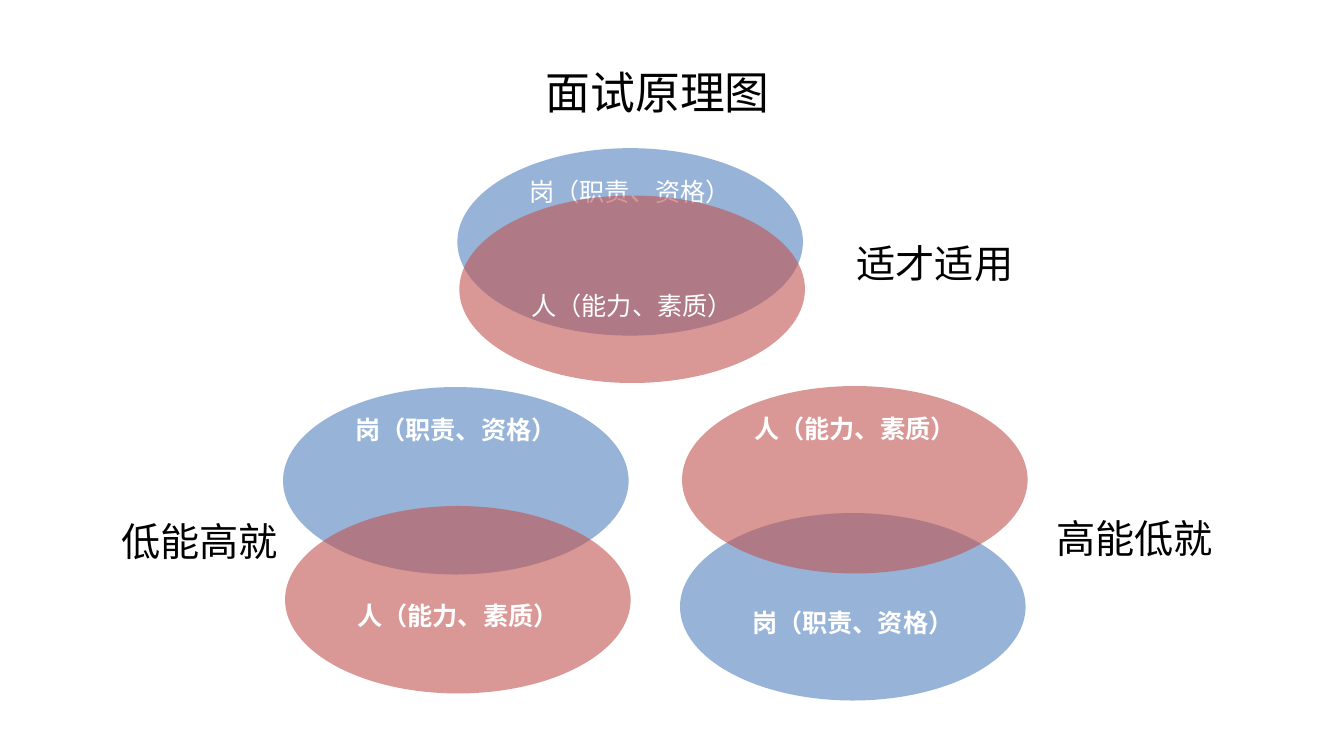
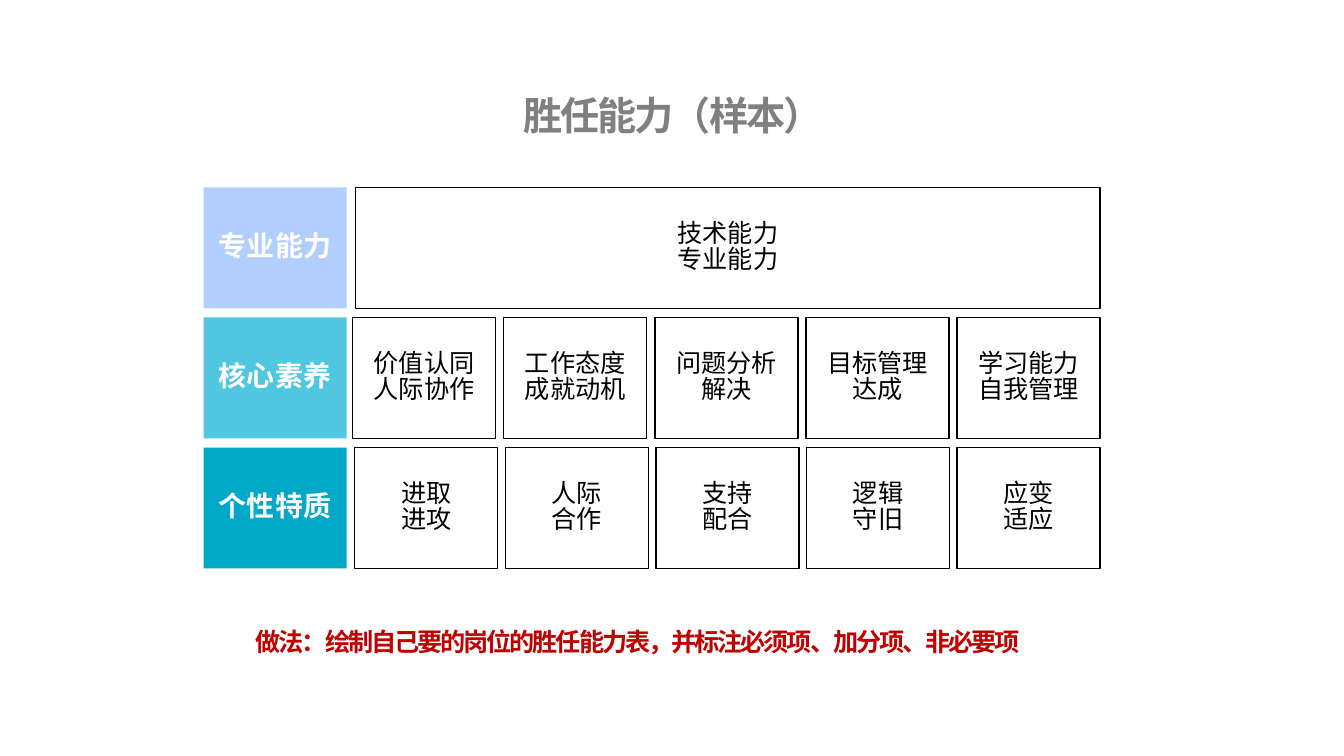
import pptx
import pptx.util
import pptx.dml.color
import pptx.enum.shapes
import pptx.enum.text
import pptx.oxml.ns
from lxml import etree

Inches = pptx.util.Inches
Pt = pptx.util.Pt
RGBColor = pptx.dml.color.RGBColor
Shape = pptx.enum.shapes.MSO_SHAPE
Anchor = pptx.enum.text.MSO_ANCHOR
Align = pptx.enum.text.PP_ALIGN
qn = pptx.oxml.ns.qn

BLACK = RGBColor(0x00, 0x00, 0x00)
WHITE = RGBColor(0xFF, 0xFF, 0xFF)
GRAY = RGBColor(0x80, 0x80, 0x80)
DARK_RED = RGBColor(0xC0, 0x00, 0x00)
JOB_BLUE = RGBColor(0x4F, 0x81, 0xBD)
PERSON_RED = RGBColor(0xC0, 0x50, 0x4D)
PALE_BLUE = RGBColor(0xB1, 0xCE, 0xFF)
LIGHT_TEAL = RGBColor(0x50, 0xC6, 0xE0)
TEAL = RGBColor(0x00, 0xA8, 0xC8)

CJK_FONT = "Noto Sans CJK SC"
LATIN_FONT = "Open Sans"
LINE_SPACING = 0.85

OVAL_W, OVAL_H = 3.43, 1.86
OVAL_SHIFT = 0.02
OVAL_OPACITY = 59
LOWER_TEXT_INSET = 0.35

CELL_W, CELL_H = 1.42, 1.2
ROW_PITCH = 1.29


def write(shape, text, size, color, bold=False, font=CJK_FONT, spacing=0,
          align=Align.CENTER, anchor=Anchor.MIDDLE, wrap=True):
    """Put text in a shape; each line becomes a paragraph."""
    frame = shape.text_frame
    frame.text = text
    frame.word_wrap = wrap
    frame.vertical_anchor = anchor
    for paragraph in frame.paragraphs:
        paragraph.alignment = align
        paragraph.line_spacing = LINE_SPACING
        for run in paragraph.runs:
            run.font.size = Pt(size)
            run.font.bold = bold
            run.font.color.rgb = color
            run.font.name = font
            properties = run.font._element
            etree.SubElement(properties, qn("a:ea")).set("typeface", CJK_FONT)
            if spacing:
                properties.set("spc", str(int(spacing * 100)))


def add_text(slide, box, text, size, color, **style):
    textbox = slide.shapes.add_textbox(*map(Inches, box))
    write(textbox, text, size, color, **style)


def add_block(shapes, kind, box, fill=None, outline=None):
    block = shapes.add_shape(kind, *map(Inches, box))
    block.shadow.inherit = False
    if fill is None:
        block.fill.background()
    else:
        block.fill.solid()
        block.fill.fore_color.rgb = fill
    if outline is None:
        block.line.fill.background()
    else:
        block.line.color.rgb = outline
        block.line.width = Pt(1)
    return block


def add_oval(shapes, left, top, color, text, bold, is_upper):
    oval = add_block(shapes, Shape.OVAL, (left, top, OVAL_W, OVAL_H), color)
    color_element = oval._element.spPr.find(qn("a:solidFill"))[0]
    alpha = etree.SubElement(color_element, qn("a:alpha"))
    alpha.set("val", str(OVAL_OPACITY * 1000))
    write(oval, text, 18, WHITE, bold=bold,
          anchor=Anchor.TOP if is_upper else Anchor.BOTTOM)
    if not is_upper:
        oval.text_frame.margin_bottom = Inches(LOWER_TEXT_INSET)


def add_match(slide, left, job_top, person_top, bold):
    """Overlap the job oval with the person oval in one group."""
    shapes = slide.shapes.add_group_shape().shapes
    job_is_upper = job_top < person_top
    add_oval(shapes, left, job_top, JOB_BLUE, "岗（职责、资格）",
             bold, job_is_upper)
    add_oval(shapes, left + OVAL_SHIFT, person_top, PERSON_RED,
             "人（能力、素质）", bold, not job_is_upper)


def add_competency_row(shapes, left, top, heading, color, cells_left, right,
                       cells):
    """Draw a coloured heading and cells spread evenly up to the right edge."""
    head = add_block(shapes, Shape.RECTANGLE, (left, top, CELL_W, CELL_H), color)
    write(head, heading, 20, WHITE, bold=True)
    if len(cells) == 1:
        width, pitch = right - cells_left, 0
    else:
        width = CELL_W
        pitch = (right - CELL_W - cells_left) / (len(cells) - 1)
    for column, text in enumerate(cells):
        cell = add_block(shapes, Shape.RECTANGLE,
                         (cells_left + column * pitch, top, width, CELL_H),
                         outline=BLACK)
        write(cell, text, 18, BLACK, wrap=False)


def add_competency_grid(slide, left, top, right):
    shapes = slide.shapes.add_group_shape().shapes
    rows = [
        ("专业能力", PALE_BLUE, 1.51, ["技术能力\n专业能力"]),
        ("核心素养", LIGHT_TEAL, 1.48,
         ["价值认同\n人际协作", "工作态度\n成就动机", "问题分析\n解决",
          "目标管理\n达成", "学习能力\n自我管理"]),
        ("个性特质", TEAL, 1.5,
         ["进取\n进攻", "人际\n合作", "支持\n配合", "逻辑\n守旧",
          "应变\n适应"]),
    ]
    for index, (heading, color, offset, cells) in enumerate(rows):
        add_competency_row(shapes, left, top + index * ROW_PITCH, heading,
                           color, left + offset, right, cells)


def build_interview_slide(slide):
    add_text(slide, (0.53, 0.33, 12, 1.25), "面试原理图", 32, BLACK)
    for text, left, top, width in [("低能高就", 0.99, 5.12, 1.98),
                                   ("高能低就", 10.21, 5.09, 2.1),
                                   ("适才适用", 8.24, 2.36, 2.08)]:
        add_text(slide, (left, top, width, 0.57), text, 28, BLACK)
    add_match(slide, 4.54, 1.47, 1.94, bold=False)
    add_match(slide, 2.81, 3.84, 5.02, bold=True)
    add_match(slide, 6.75, 5.09, 3.83, bold=True)


def build_competency_slide(slide):
    emphasis = {"bold": True, "font": LATIN_FONT, "spacing": -1.5}
    add_text(slide, (2.18, 0.92, 9, 0.52), "胜任能力（样本）", 28, GRAY,
             **emphasis)
    add_competency_grid(slide, 2.02, 1.86, 10.92)
    add_text(slide, (2.44, 6.19, 7.84, 0.4),
             "做法：绘制自己要的岗位的胜任能力表，并标注必须项、加分项、非必要项",
             18, DARK_RED, align=Align.LEFT, wrap=False, **emphasis)


def main():
    deck = pptx.Presentation()
    deck.slide_width = Inches(13.34)
    deck.slide_height = Inches(7.5)
    blank = deck.slide_layouts[6]
    for build in (build_interview_slide, build_competency_slide):
        build(deck.slides.add_slide(blank))
    deck.save("out.pptx")


if __name__ == "__main__":
    main()
